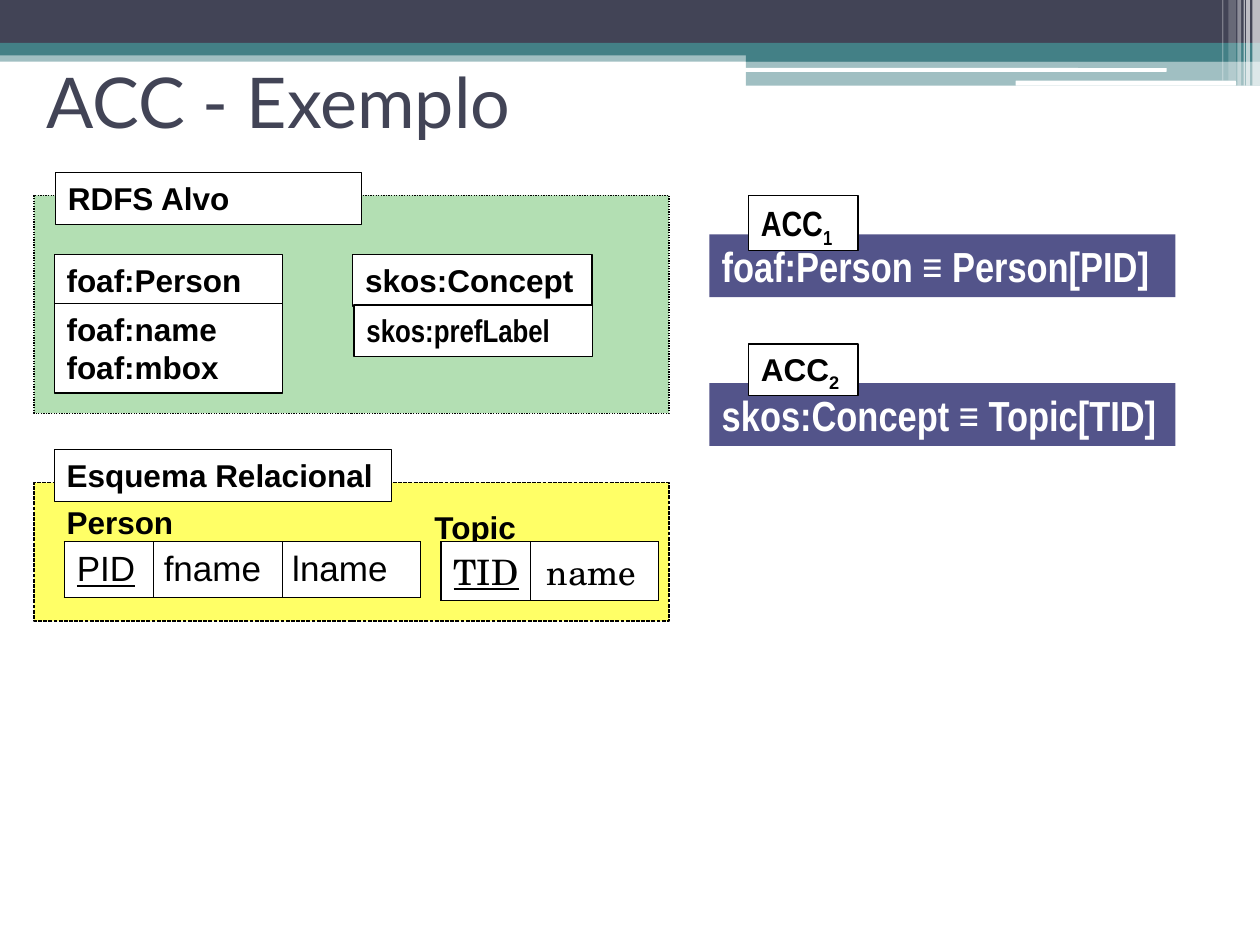
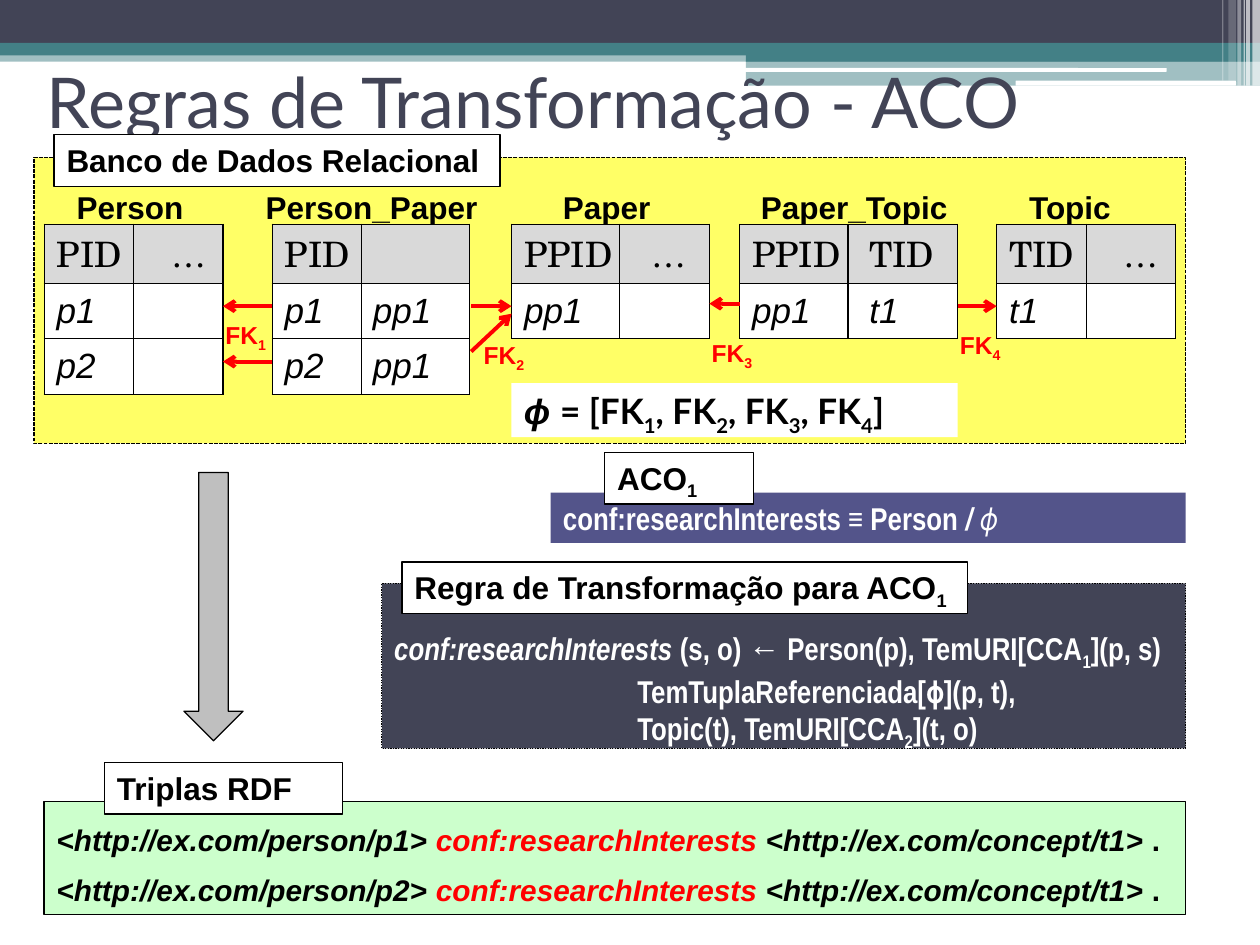
from lxml import etree
from pptx import Presentation
from pptx.dml.color import RGBColor
from pptx.enum import dml, shapes, text
from pptx.oxml import ns
from pptx.util import Inches, Pt

BLACK = RGBColor(0x00, 0x00, 0x00)
WHITE = RGBColor(0xFF, 0xFF, 0xFF)
NAVY = RGBColor(0x42, 0x44, 0x56)
TEAL = RGBColor(0x43, 0x80, 0x86)
VIOLET = RGBColor(0x53, 0x54, 0x8A)
YELLOW = RGBColor(0xFF, 0xFF, 0x66)
GREEN = RGBColor(0xB3, 0xDF, 0xB3)
MINT = RGBColor(0xCC, 0xFF, 0xCC)
GRAY = RGBColor(0xD9, 0xD9, 0xD9)
STEEL = RGBColor(0xBF, 0xBF, 0xBF)
RED = RGBColor(0xFF, 0x00, 0x00)
SANS, SLIM, LATO, SERIF = "Arial", "Arial Narrow", "Lato", "TeX Gyre Schola"
RECT = shapes.MSO_SHAPE.RECTANGLE
DOT, DASH = dml.MSO_LINE.ROUND_DOT, dml.MSO_LINE.SQUARE_DOT


def box(slide, at, lines=(), fill=WHITE, edge=BLACK, dash=None, kind=RECT,
        size=18, face=SANS, ink=BLACK, slant=None, wrap=True):
    """Add a shape; in a line, | parts runs, ~ lowers, * slants, ^ reddens."""
    shape = slide.shapes.add_shape(kind, *map(Inches, at))
    shape.shadow.inherit = False
    if fill is None:
        shape.fill.background()
    else:
        shape.fill.solid()
        shape.fill.fore_color.rgb = fill
    if edge is None:
        shape.line.fill.background()
    else:
        shape.line.color.rgb = edge
        shape.line.width = Pt(0.75)
        if dash:
            shape.line.dash_style = dash
    frame = shape.text_frame
    frame.word_wrap = wrap
    frame.vertical_anchor = text.MSO_ANCHOR.TOP
    for i, line in enumerate(lines):
        par = frame.add_paragraph() if i else frame.paragraphs[0]
        par.alignment = text.PP_ALIGN.LEFT
        font = par.font
        font.name, font.size, font.bold, font.italic = face, Pt(size), True, slant
        font.color.rgb = ink
        for part in line.split("|"):
            run = par.add_run()
            run.text = part.lstrip("~*^")
            if part[0] == "~":
                run.font._element.set("baseline", "-25000")
            elif part[0] == "*":
                run.font.italic = not slant
            elif part[0] == "^":
                run.font.color.rgb = RED
    return shape


def grid(slide, x, y, widths, rows, gap, face=SANS, head=None):
    """Add a ruled table; gap is the left margin of the later columns."""
    high = 0.44
    frame = slide.shapes.add_table(
        len(rows), len(widths), Inches(x), Inches(y),
        Inches(sum(widths)), Inches(high * len(rows)))
    table = frame.table
    table.first_row = table.horz_banding = False
    for col, wide in zip(table.columns, widths):
        col.width = Inches(wide)
    for r, row in enumerate(rows):
        table.rows[r].height = Inches(high)
        for c, word in enumerate(row):
            cell = table.cell(r, c)
            cell.margin_left = Inches(gap if c else 0.1)
            cell.margin_right = 0
            cell.margin_top = cell.margin_bottom = Inches(0.03)
            cell.vertical_anchor = text.MSO_ANCHOR.MIDDLE
            props = cell._tc.get_or_add_tcPr()
            for side in ("lnL", "lnR", "lnT", "lnB"):
                rule = etree.SubElement(props, ns.qn("a:" + side), w="9525")
                solid = etree.SubElement(rule, ns.qn("a:solidFill"))
                etree.SubElement(solid, ns.qn("a:srgbClr"), val=str(BLACK))
            cell.fill.solid()
            cell.fill.fore_color.rgb = head if head and r == 0 else WHITE
            par = cell.text_frame.paragraphs[0]
            par.text = word
            font = par.font
            font.name = SERIF if head and r == 0 else face
            font.size, font.color.rgb = Pt(20), BLACK
            font.bold, font.italic = False, bool(head and r)
            font.underline = not head and c == 0


prs = Presentation()
prs.slide_width, prs.slide_height = Inches(10), Inches(7.5)
layout = prs.slide_layouts[5]

# Titles
pair = []
for name in ("ACC - Exemplo", "Regras de Transformação - ACO"):
    slide = prs.slides.add_slide(layout)
    title = slide.shapes.title
    title.left, title.top = Inches(0.27), Inches(0.21)
    title.width, title.height = Inches(9), Inches(1.17)
    title.text = name
    title.text_frame.auto_size = text.MSO_AUTO_SIZE.NONE
    title.text_frame.vertical_anchor = text.MSO_ANCHOR.MIDDLE
    par = title.text_frame.paragraphs[0]
    par.alignment = text.PP_ALIGN.LEFT
    par.font.name, par.font.size, par.font.color.rgb = LATO, Pt(40), NAVY
    pair.append(slide)
first, second = pair

# Bands, moved to the layout that both slides share
ROUND = shapes.MSO_SHAPE.ROUNDED_RECTANGLE
for at, fill, alpha, kind in (
        ((0, 0.4, 10, 0.09), TEAL, 50, RECT),
        ((0, 0, 10, 0.34), NAVY, 100, RECT),
        ((0, 0.34, 10, 0.1), TEAL, 100, RECT),
        ((5.92, 0.39, 4.08, 0.1), TEAL, 100, RECT),
        ((5.92, 0.48, 4.08, 0.2), TEAL, 50, RECT),
        ((5.91, 0.54, 3.35, 0.03), WHITE, 100, ROUND),
        ((8.06, 0.64, 1.75, 0.04), WHITE, 100, ROUND),
        ((9.94, 0, 0.06, 0.68), WHITE, 65, RECT),
        ((9.89, 0, 0.03, 0.68), WHITE, 65, RECT),
        ((9.87, 0, 0.01, 0.68), WHITE, 60, RECT),
        ((9.82, 0, 0.03, 0.68), WHITE, 40, RECT),
        ((9.75, 0, 0.06, 0.64), WHITE, 20, RECT),
        ((9.7, 0, 0.01, 0.64), WHITE, 30, RECT)):
    band = box(first, at, fill=fill, edge=None, kind=kind)
    tint = band._element.spPr.find(".//" + ns.qn("a:srgbClr"))
    etree.SubElement(tint, ns.qn("a:alpha"), val=str(alpha * 1000))
    layout.shapes._spTree.append(band._element)

# Slide 1: target and source schemas
box(first, (0.27, 1.55, 5.04, 1.73), fill=GREEN, dash=DOT)
box(first, (0.44, 1.37, 2.43, 0.41), ["RDFS Alvo"])
box(first, (0.43, 2.02, 1.81, 0.41), ["foaf:Person"])
box(first, (2.8, 2.02, 1.9, 0.41), ["skos:Concept"])
box(first, (0.43, 2.41, 1.81, 0.71), ["foaf:name", "foaf:mbox"])
box(first, (2.81, 2.42, 1.89, 0.41), ["skos:prefLabel"], face=SLIM)
box(first, (0.27, 3.83, 5.04, 1.1), fill=YELLOW, dash=DASH)
box(first, (0.43, 3.94, 1.57, 0.4), ["Person"], fill=None, edge=None)
box(first, (3.35, 3.98, 1.34, 0.4), ["Topic"], fill=None, edge=None)
box(first, (0.43, 3.57, 2.68, 0.41), ["Esquema Relacional"])
grid(first, 0.51, 4.3, (0.71, 1.02, 1.1), [("PID", "fname", "lname")], 0.08)
grid(first, 3.5, 4.3, (0.71, 1.02), [("TID", "name")], 0.13, SERIF)

# Slide 1: class assertions
for y, rule, tag, size, face, high in (
        (1.55, "foaf:Person ≡ Person[PID]", "ACC|~1", 20, SLIM, 0.44),
        (2.73, "skos:Concept ≡ Topic[TID]", "ACC|~2", 18, SANS, 0.41)):
    box(first, (5.63, y + 0.31, 3.7, 0.5), [rule], fill=VIOLET, edge=None,
        size=24, face=SLIM, ink=WHITE)
    box(first, (5.94, y, 0.87, high), [tag], size=size, face=face)

# Slide 2: database
box(second, (0.27, 1.25, 9.14, 2.27), fill=YELLOW, dash=DASH)
box(second, (0.43, 1.07, 3.54, 0.41), ["Banco de Dados Relacional"])
for name, left, wide, x, widths, gap, rows in (
        ("Person", 0.51, 1.57, 0.35, (0.71, 0.71), 0.3,
         [("PID", "…"), ("p1", ""), ("p2", "")]),
        ("Person_Paper", 2.01, 2.52, 2.16, (0.71, 0.86), 0.09,
         [("PID", ""), ("p1", "pp1"), ("p2", "pp1")]),
        ("Paper", 4.37, 1.34, 4.06, (0.86, 0.71), 0.25,
         [("PPID", "…"), ("pp1", "")]),
        ("Paper_Topic", 5.94, 2.2, 5.87, (0.86, 0.87), 0.17,
         [("PPID", "TID"), ("pp1", "t1")]),
        ("Topic", 8.07, 1.34, 7.91, (0.71, 0.71), 0.3,
         [("TID", "…"), ("t1", "")])):
    box(second, (left, 1.44, wide, 0.4), [name], fill=None, edge=None)
    grid(second, x, 1.78, widths, rows, gap, head=GRAY)

# Slide 2: foreign keys
for n, (x, y) in enumerate(
        ((1.69, 2.49), (3.74, 2.65), (5.55, 2.63), (7.52, 2.57)), 1):
    box(second, (x, y, 0.53, 0.33), [f"FK|~{n}"], fill=None, edge=None,
        size=14, ink=RED, wrap=False)
for ends in ((2.16, 2.43, 1.77, 2.43), (2.16, 2.87, 1.77, 2.87),
             (7.6, 2.43, 7.91, 2.43), (3.74, 2.79, 4.06, 2.49),
             (3.74, 2.43, 4.06, 2.43), (5.87, 2.41, 5.63, 2.41)):
    link = second.shapes.add_connector(
        shapes.MSO_CONNECTOR.STRAIGHT, *map(Inches, ends))
    link.line.color.rgb, link.line.width = RED, Pt(2.25)
    etree.SubElement(link.line._get_or_add_ln(), ns.qn("a:tailEnd"), type="arrow")
    etree.SubElement(link._element.spPr, ns.qn("a:effectLst"))
path = box(second, (4.06, 3.04, 3.54, 0.43),
           ["*ϕ |= [FK|~1|, FK|~2|, FK|~3|, FK|~4|]"],
           edge=None, size=20, face=LATO)
path.text_frame.paragraphs[0].runs[0].font.name = SANS

# Slide 2: assertion and its rule
bar = box(second, (4.37, 3.91, 5.04, 0.4),
          ["conf:researchInterests ≡ Person |*/ |*ϕ"],
          fill=VIOLET, edge=None, face=SLIM, ink=WHITE)
bar.text_frame.paragraphs[0].runs[-1].font.bold = False
box(second, (4.8, 3.59, 1.18, 0.41), ["ACO|~1"])
rule = box(second, (3.03, 4.63, 6.38, 1.31),
           ["*conf:researchInterests |(s, o) ← Person(p), TemURI[CCA|~1|](p, s)",
            "TemTuplaReferenciada[ϕ](p, t),",
            "Topic(t), TemURI[CCA|~2|](t, o)"],
           fill=NAVY, dash=DOT, face=SLIM, ink=WHITE)
rule.text_frame.margin_top = Inches(0.36)
for par in rule.text_frame.paragraphs[1:]:
    par._p.get_or_add_pPr().set("marL", str(Inches(1.93)))
box(second, (3.19, 4.46, 4.49, 0.41), ["Regra de Transformação para ACO|~1"])

# Slide 2: resulting triples
box(second, (1.46, 3.75, 0.47, 2.13), fill=STEEL,
    kind=shapes.MSO_SHAPE.DOWN_ARROW)
out = box(second, (0.35, 6.36, 9.06, 0.9),
          [f"<http://ex.com/person/{key}> |^conf:researchInterests |"
           "<http://ex.com/concept/t1> |*." for key in ("p1", "p2")],
          fill=MINT, size=17, slant=True)
for par in out.text_frame.paragraphs:
    par.line_spacing = 1.4
box(second, (0.83, 6.05, 1.89, 0.41), ["Triplas RDF"])

prs.save("out.pptx")
